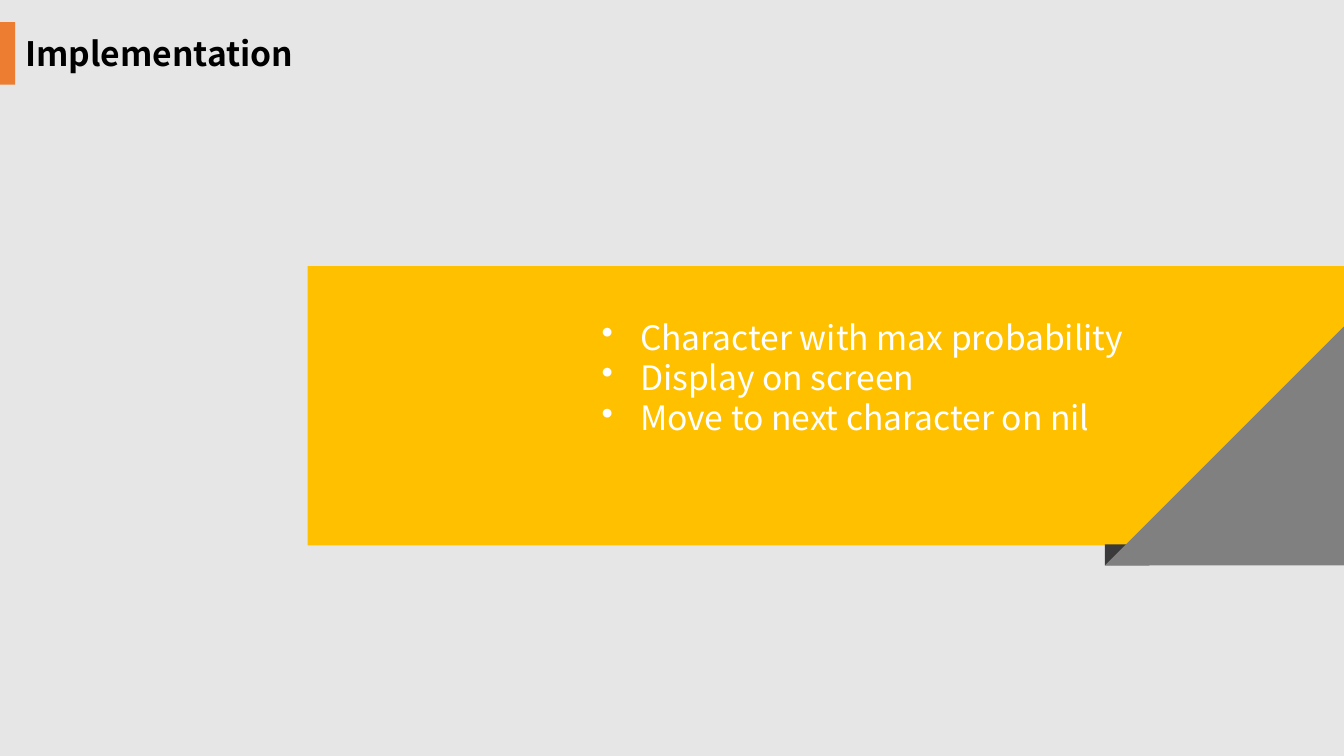
from lxml import etree
from pptx import Presentation
from pptx.dml.color import RGBColor
from pptx.enum.shapes import MSO_SHAPE
from pptx.enum.text import MSO_AUTO_SIZE, PP_ALIGN
from pptx.oxml.ns import qn
from pptx.util import Inches, Pt

RECTANGLE = MSO_SHAPE.RECTANGLE
RIGHT_TRIANGLE = MSO_SHAPE.RIGHT_TRIANGLE
JUSTIFY = PP_ALIGN.JUSTIFY
LEFT = PP_ALIGN.LEFT
GROW = MSO_AUTO_SIZE.SHAPE_TO_FIT_TEXT

COLORS = {
    "background": "E7E6E6",
    "title": "000000",
    "accent": "ED7D31",
    "banner": "FFC000",
    "fold": "3A3A3A",
    "corner": "808080",
    "bullets": "FFFFFF",
}


class SlideBuilder:
    font_name = "Noto Sans CJK SC"
    font_size = Pt(24)
    line_spacing = Pt(28.8)
    bullet_indent = Inches(0.38)

    def __init__(self, slide):
        self.slide = slide

    def color(self, name):
        return RGBColor.from_string(COLORS[name])

    def background(self, color):
        fill = self.slide.background.fill
        fill.solid()
        fill.fore_color.rgb = self.color(color)

    def block(self, kind, left, top, width, height, color):
        shape = self.slide.shapes.add_shape(
            kind, Inches(left), Inches(top), Inches(width), Inches(height))
        shape.shadow.inherit = False
        shape.fill.solid()
        shape.fill.fore_color.rgb = self.color(color)
        shape.line.fill.background()
        return shape

    def corner(self, left, top, size, color):
        shape = self.block(RIGHT_TRIANGLE, left, top, size, size, color)
        shape._element.spPr.find(qn("a:xfrm")).set("flipH", "1")

    def text(self, left, top, width, height, lines, color, bold=False, bulleted=False):
        box = self.slide.shapes.add_textbox(
            Inches(left), Inches(top), Inches(width), Inches(height))
        frame = box.text_frame
        frame.word_wrap = True
        frame.auto_size = GROW
        frame.text = "\n".join(lines)
        for paragraph in frame.paragraphs:
            paragraph.alignment = JUSTIFY if bulleted else LEFT
            paragraph.line_spacing = self.line_spacing
            paragraph.font.name = self.font_name
            paragraph.font.size = self.font_size
            paragraph.font.bold = bold
            paragraph.font.color.rgb = self.color(color)
            if bulleted:
                self.bullet(paragraph)

    def bullet(self, paragraph):
        properties = paragraph._p.get_or_add_pPr()
        properties.set("marL", str(self.bullet_indent))
        properties.set("indent", str(-self.bullet_indent))
        mark = etree.Element(qn("a:buChar"), char="•")
        properties.find(qn("a:defRPr")).addprevious(mark)


def main():
    presentation = Presentation()
    presentation.slide_width = Inches(13.33)
    presentation.slide_height = Inches(7.5)
    builder = SlideBuilder(presentation.slides.add_slide(presentation.slide_layouts[6]))

    builder.background("background")
    builder.text(0.15, 0.28, 3.79, 0.5, ["Implementation"], "title", bold=True)
    builder.block(RECTANGLE, 0, 0.22, 0.15, 0.62, "accent")
    builder.block(RECTANGLE, 3.05, 2.64, 10.28, 2.77, "banner")
    builder.block(RECTANGLE, 10.96, 5.4, 0.44, 0.21, "fold")
    builder.corner(10.96, 3.24, 2.37, "corner")
    builder.text(5.87, 3.09, 5.9, 1.31, [
        "Character with max probability",
        "Display on screen",
        "Move to next character on nil",
    ], "bullets", bulleted=True)

    presentation.save("out.pptx")


if __name__ == "__main__":
    main()
